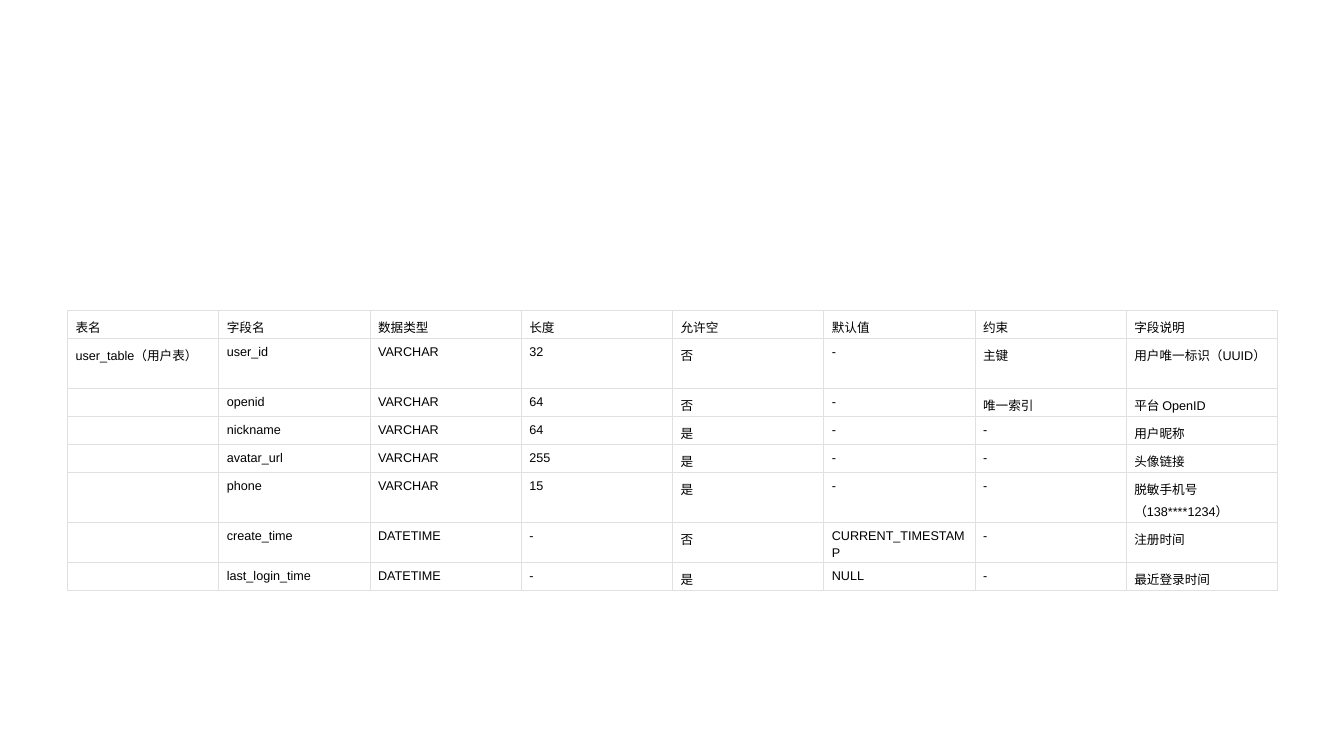
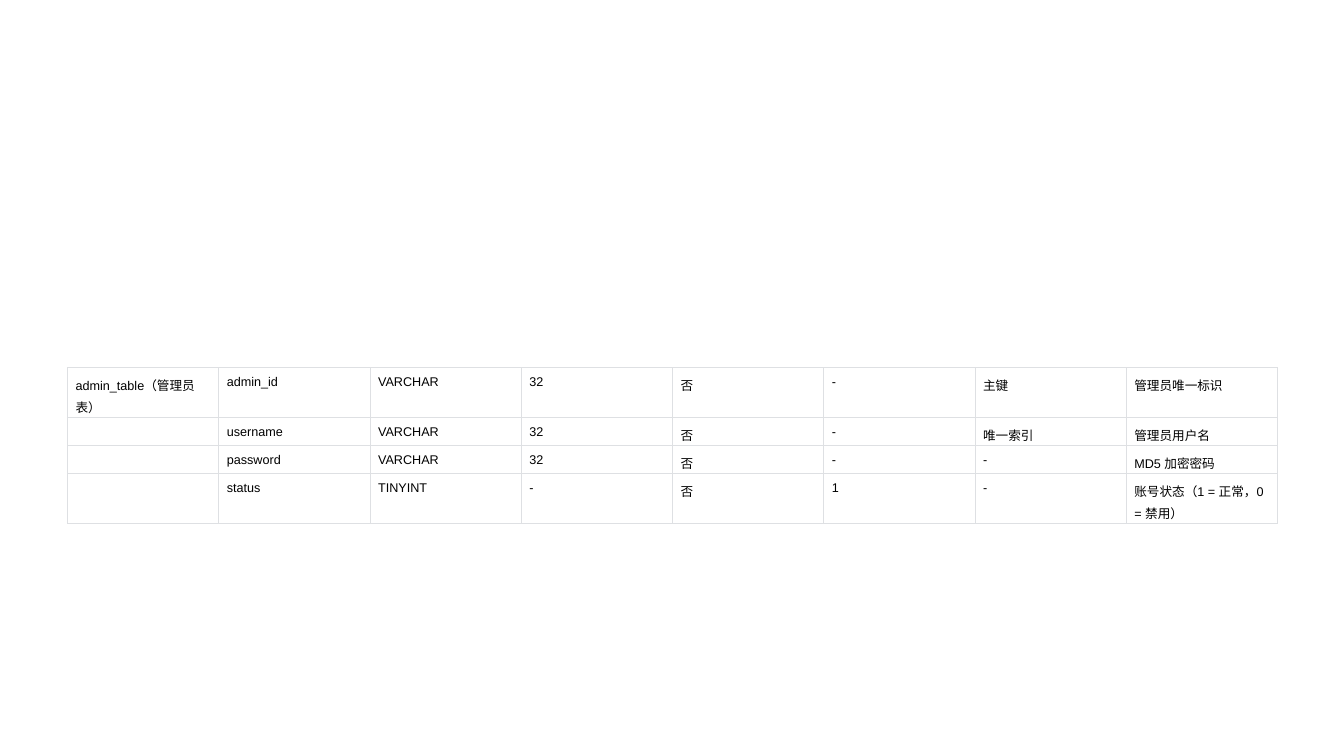
from dataclasses import dataclass

from lxml.etree import SubElement
from pptx import Presentation
from pptx.dml.color import RGBColor
from pptx.oxml import parse_xml
from pptx.oxml.ns import nsdecls, qn
from pptx.util import Inches, Pt


@dataclass(frozen=True)
class Theme:
    text_color: RGBColor = RGBColor(0x00, 0x00, 0x00)
    border_color: str = "DEE0E3"
    border_width: int = Pt(0.75)
    text_size: int = Pt(9)
    line_spacing: float = 1.2
    latin_font: str = "Arial"
    chinese_font: str = "Noto Sans CJK SC"
    row_height: int = Inches(0.22)
    side_margin: int = Inches(0.08)
    top_margin: int = Inches(0.04)
    bottom_margin: int = Inches(0.02)


THEME = Theme()
TABLE_LEFT = Inches(0.67)
TABLE_WIDTH = Inches(12)

USER_ROWS = [
    ["表名", "字段名", "数据类型", "长度", "允许空", "默认值", "约束", "字段说明"],
    ["user_table（用户表）", "user_id", "VARCHAR", "32", "否", "-", "主键", "用户唯一标识（UUID）"],
    ["", "openid", "VARCHAR", "64", "否", "-", "唯一索引", "平台 OpenID"],
    ["", "nickname", "VARCHAR", "64", "是", "-", "-", "用户昵称"],
    ["", "avatar_url", "VARCHAR", "255", "是", "-", "-", "头像链接"],
    ["", "phone", "VARCHAR", "15", "是", "-", "-", "脱敏手机号（138****1234）"],
    ["", "create_time", "DATETIME", "-", "否", "CURRENT_TIMESTAMP", "-", "注册时间"],
    ["", "last_login_time", "DATETIME", "-", "是", "NULL", "-", "最近登录时间"],
]

ADMIN_ROWS = [
    ["admin_table（管理员表）", "admin_id", "VARCHAR", "32", "否", "-", "主键", "管理员唯一标识"],
    ["", "username", "VARCHAR", "32", "否", "-", "唯一索引", "管理员用户名"],
    ["", "password", "VARCHAR", "32", "否", "-", "-", "MD5 加密密码"],
    ["", "status", "TINYINT", "-", "否", "1", "-", "账号状态（1 = 正常，0 = 禁用）"],
]


def split_by_script(text):
    parts = []
    for character in text:
        font_name = THEME.latin_font if character.isascii() else THEME.chinese_font
        if parts and (character == " " or parts[-1][0] == font_name):
            parts[-1][1] += character
        else:
            parts.append([font_name, character])
    return parts


def add_text(paragraph, text):
    paragraph.line_spacing = THEME.line_spacing
    for font_name, part in split_by_script(text):
        run = paragraph.add_run()
        run.text = part
        run.font.size = THEME.text_size
        run.font.color.rgb = THEME.text_color
        run.font.name = font_name
        SubElement(run.font._element, qn("a:ea"), typeface=font_name)
    if not text:
        size = str(int(THEME.text_size.pt * 100))
        SubElement(paragraph._p, qn("a:endParaRPr"), sz=size)


def style_cell(cell):
    cell.margin_left = cell.margin_right = THEME.side_margin
    cell.margin_top = THEME.top_margin
    cell.margin_bottom = THEME.bottom_margin
    cell.fill.background()
    properties = cell._tc.get_or_add_tcPr()
    for index, side in enumerate(("lnL", "lnR", "lnT", "lnB")):
        border = parse_xml(
            f'<a:{side} {nsdecls("a")} w="{THEME.border_width}"><a:solidFill>'
            f'<a:srgbClr val="{THEME.border_color}"/></a:solidFill></a:{side}>'
        )
        properties.insert(index, border)


def add_field_table(slide, rows, left, top, width):
    column_count = len(rows[0])
    shape = slide.shapes.add_table(
        len(rows), column_count, left, top, width, THEME.row_height * len(rows)
    )
    table = shape.table
    table.first_row = False
    table.horz_banding = False
    for column in table.columns:
        column.width = width // column_count
    for table_row, texts in zip(table.rows, rows):
        table_row.height = THEME.row_height
        for cell, text in zip(table_row.cells, texts):
            style_cell(cell)
            add_text(cell.text_frame.paragraphs[0], text)


def main():
    presentation = Presentation()
    presentation.slide_width = Inches(13.33)
    presentation.slide_height = Inches(7.5)
    blank_layout = presentation.slide_layouts[6]
    for rows, top in ((USER_ROWS, Inches(3.08)), (ADMIN_ROWS, Inches(3.65))):
        slide = presentation.slides.add_slide(blank_layout)
        add_field_table(slide, rows, TABLE_LEFT, top, TABLE_WIDTH)
    presentation.save("out.pptx")


if __name__ == "__main__":
    main()
